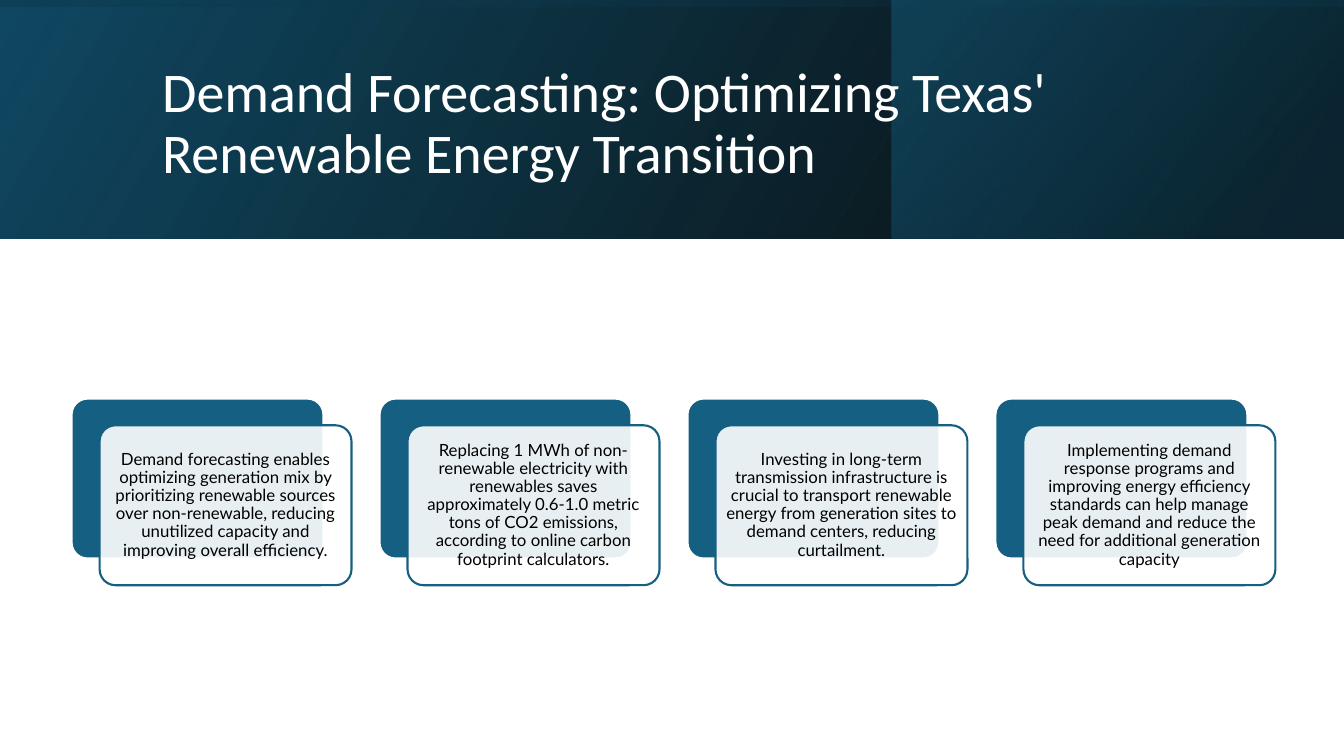
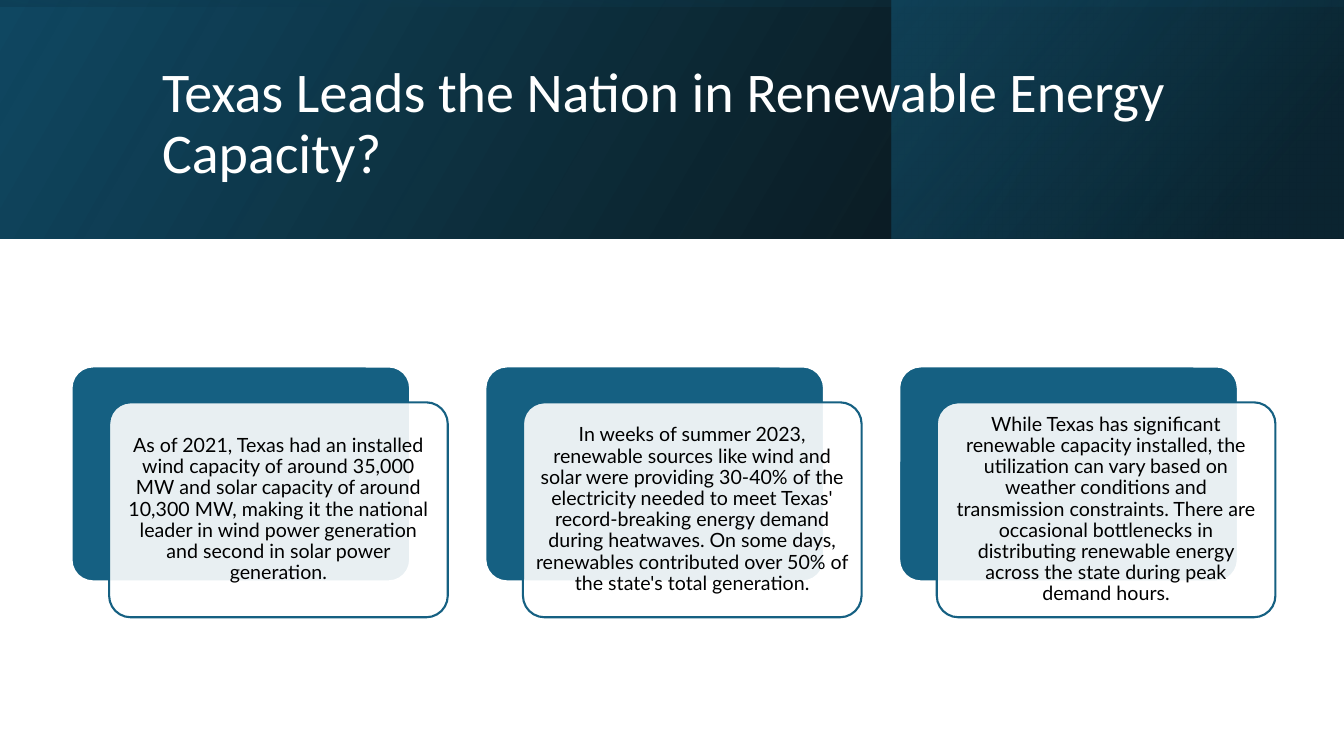
from dataclasses import dataclass

from lxml.etree import SubElement
from pptx import Presentation
from pptx.dml.color import RGBColor as Rgb
from pptx.enum.shapes import MSO_SHAPE as Shape
from pptx.enum.text import MSO_ANCHOR as Anchor, PP_ALIGN as Align
from pptx.oxml.ns import qn
from pptx.util import Inches, Pt

# Content: title, card text size, card texts
SLIDES = [
    ("Demand Forecasting: Optimizing Texas' Renewable Energy Transition", 12, [
        "Demand forecasting enables optimizing generation mix by prioritizing renewable "
        "sources over non-renewable, reducing unutilized capacity and improving overall "
        "efficiency.",
        "Replacing 1 MWh of non-renewable electricity with renewables saves approximately "
        "0.6-1.0 metric tons of CO2 emissions, according to online carbon footprint "
        "calculators.",
        "Investing in long-term transmission infrastructure is crucial to transport "
        "renewable energy from generation sites to demand centers, reducing curtailment.",
        "Implementing demand response programs and improving energy efficiency standards "
        "can help manage peak demand and reduce the need for additional generation capacity",
    ]),
    ("Texas Leads the Nation in Renewable Energy Capacity?", 14, [
        "As of 2021, Texas had an installed wind capacity of around 35,000 MW and solar "
        "capacity of around 10,300 MW, making it the national leader in wind power "
        "generation and second in solar power generation.",
        "In weeks of summer 2023, renewable sources like wind and solar were providing "
        "30-40% of the electricity needed to meet Texas' record-breaking energy demand "
        "during heatwaves. On some days, renewables contributed over 50% of the state's "
        "total generation.",
        "While Texas has significant renewable capacity installed, the utilization can "
        "vary based on weather conditions and transmission constraints. There are "
        "occasional bottlenecks in distributing renewable energy across the state during "
        "peak demand hours.",
    ]),
]


@dataclass(frozen=True)
class Theme:
    accent: str = "156082"
    navy: str = "104862"
    deep: str = "0B3041"
    black: str = "000000"
    white: str = "FFFFFF"
    title_font: str = "Calibri"
    card_font: str = "Lato"
    title_size: int = 40
    outline: float = 1.5
    line_spacing: float = 0.9
    card_opacity: int = 90


THEME = Theme()
WIDTH, HEIGHT = 13.33, 7.5
BAND = 2.37
TITLE_BOX = (1.51, 0.38, 10.63, 1.72)

# Card row: every measure is a share of the card width
ROW_LEFT, ROW_WIDTH, ROW_MIDDLE = 0.71, 11.94, 4.88
PITCH, ASPECT = 11 / 9, 0.635
SHIFT_X, SHIFT_Y = 1 / 9, 0.106

# Header layers: box, rotation, counter-clockwise angle, (position, colour, opacity) stops
HEADER = [
    ((0, 0, WIDTH, BAND), 0, 30,
     [(0, THEME.black, 96), (100, THEME.navy, 100)]),
    ((WIDTH - 4.49, 0, 4.49, BAND), 0, 40,
     [(19, THEME.deep, 68), (100, THEME.accent, 48)]),
    (((WIDTH - BAND) / 2, (BAND - WIDTH) / 2, BAND, WIDTH), 270, 10,
     [(23, THEME.navy, 16), (99, THEME.black, 45)]),
]


def set_opacity(shape, percents):
    colors = shape._element.spPr.iter(qn("a:srgbClr"))
    for color, percent in zip(list(colors), percents):
        if percent < 100:
            SubElement(color, qn("a:alpha")).set("val", str(percent * 1000))


def add_block(slide, kind, box):
    block = slide.shapes.add_shape(kind, *map(Inches, box))
    block.shadow.inherit = False
    return block


def add_header(slide):
    for box, rotation, angle, stops in HEADER:
        layer = add_block(slide, Shape.RECTANGLE, box)
        layer.rotation = rotation
        layer._element.spPr.xfrm.set("flipH", "1")
        layer.fill.gradient()
        layer.fill.gradient_angle = angle
        for stop, (position, color, _) in zip(layer.fill.gradient_stops, stops):
            stop.position = position / 100
            stop.color.rgb = Rgb.from_string(color)
        set_opacity(layer, [opacity for _, _, opacity in stops])
        layer.line.fill.background()


def write(shape, text, font, size, color, align):
    frame = shape.text_frame
    frame.word_wrap = True
    frame.vertical_anchor = Anchor.MIDDLE
    paragraph = frame.paragraphs[0]
    paragraph.alignment = align
    paragraph.line_spacing = THEME.line_spacing
    run = paragraph.add_run()
    run.text = text
    run.font.name = font
    run.font.size = Pt(size)
    run.font.color.rgb = Rgb.from_string(color)
    return frame


def add_panel(slide, box, fill, line):
    panel = add_block(slide, Shape.ROUNDED_RECTANGLE, box)
    panel.adjustments[0] = 0.1
    panel.fill.solid()
    panel.fill.fore_color.rgb = Rgb.from_string(fill)
    panel.line.color.rgb = Rgb.from_string(line)
    panel.line.width = Pt(THEME.outline)
    return panel


def add_cards(slide, texts, size):
    # The row holds all pitches, one last card and its shifted front panel
    width = ROW_WIDTH / ((len(texts) - 1) * PITCH + 1 + SHIFT_X)
    height = width * ASPECT
    top = ROW_MIDDLE - (height + width * SHIFT_Y) / 2
    for index, text in enumerate(texts):
        left = ROW_LEFT + index * width * PITCH
        add_panel(slide, (left, top, width, height), THEME.accent, THEME.white)
        front_box = (left + width * SHIFT_X, top + width * SHIFT_Y, width, height)
        front = add_panel(slide, front_box, THEME.white, THEME.accent)
        set_opacity(front, [THEME.card_opacity])
        frame = write(front, text, THEME.card_font, size, THEME.black, Align.CENTER)
        inset = Pt(size * 0.3)
        frame.margin_left = frame.margin_right = inset
        frame.margin_top = frame.margin_bottom = inset


def main():
    deck = Presentation()
    deck.slide_width, deck.slide_height = Inches(WIDTH), Inches(HEIGHT)
    for title, card_size, texts in SLIDES:
        slide = deck.slides.add_slide(deck.slide_layouts[6])
        add_header(slide)
        heading = slide.shapes.add_textbox(*map(Inches, TITLE_BOX))
        write(heading, title, THEME.title_font, THEME.title_size, THEME.white, Align.LEFT)
        add_cards(slide, texts, card_size)
    deck.save("out.pptx")


if __name__ == "__main__":
    main()
